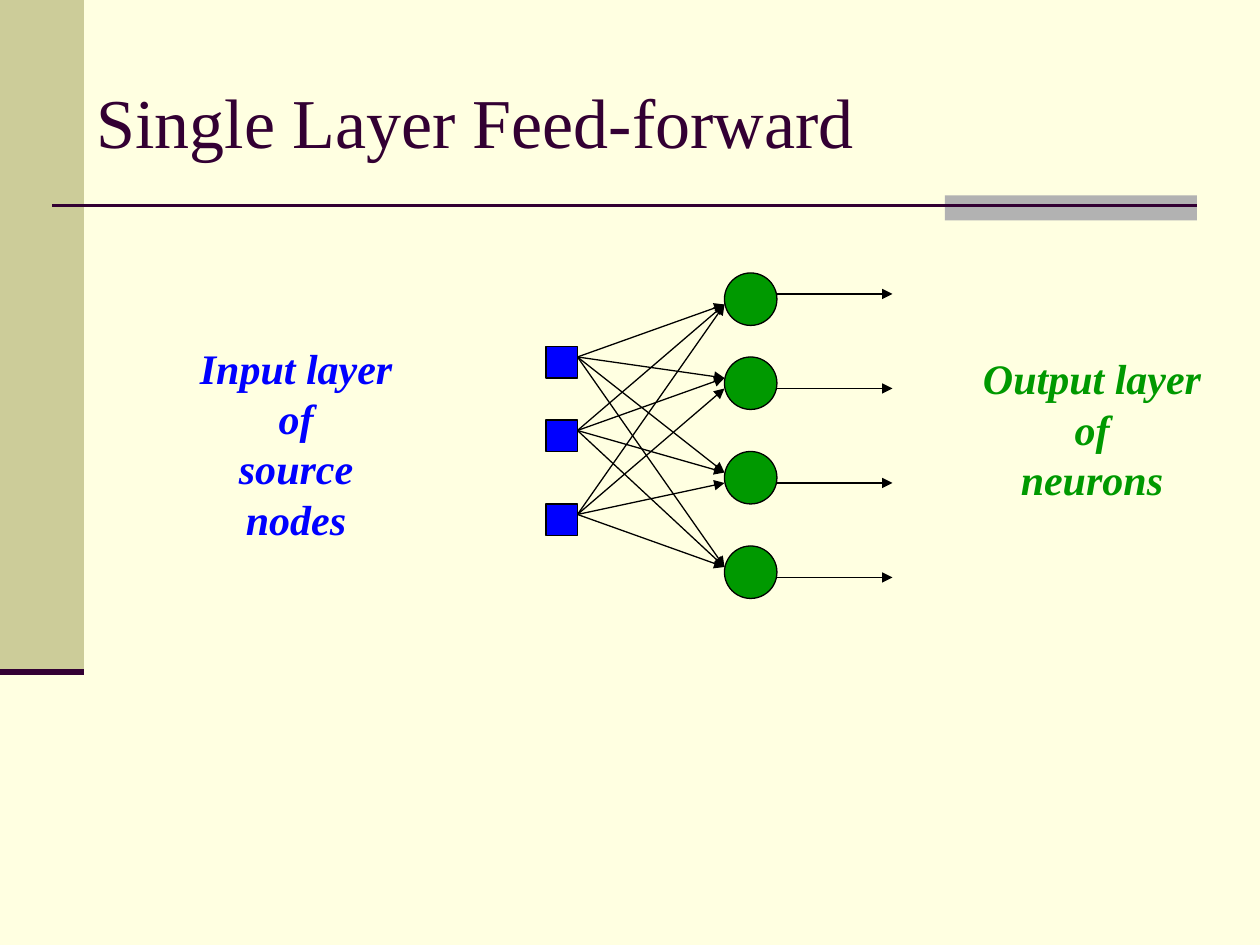
from itertools import product

from lxml.etree import SubElement
from pptx import Presentation
from pptx.dml.color import RGBColor
from pptx.enum.shapes import MSO_CONNECTOR, MSO_SHAPE
from pptx.enum.text import MSO_ANCHOR, PP_ALIGN
from pptx.oxml.ns import qn
from pptx.util import Inches, Pt

COLUMNS, ROWS = 120, 90
PLUM, SAND, SILVER, CREAM = "330033", "CCCC99", "B2B2B2", "FFFFE1"
BLUE, GREEN, BLACK = "0000FF", "009900", "000000"


def color(value):
    return RGBColor.from_string(value)


def apply_format(target, values):
    for name, value in values.items():
        setattr(target, name, value)


class GridSlide:
    font_name = "Times New Roman"
    thin = 0.75

    def __init__(self, deck):
        self.column = deck.slide_width / COLUMNS
        self.row = deck.slide_height / ROWS
        self.slide = deck.slides.add_slide(deck.slide_layouts[6])
        self.slide.background.fill.solid()
        self.slide.background.fill.fore_color.rgb = color(CREAM)

    def place(self, *lengths):
        units = (self.column, self.row) * 2
        return [round(length * unit) for length, unit in zip(lengths, units)]

    def block(self, kind, box, fill, outline=None):
        block = self.slide.shapes.add_shape(kind, *self.place(*box))
        block.shadow.inherit = False
        block.fill.solid()
        block.fill.fore_color.rgb = color(fill)
        if outline:
            block.line.color.rgb = color(outline)
            block.line.width = Pt(self.thin)
        else:
            block.line.fill.background()

    def line(self, start, end, stroke=BLACK, width=thin, arrow=False):
        line = self.slide.shapes.add_connector(
            MSO_CONNECTOR.STRAIGHT, *self.place(*start, *end))
        line.line.color.rgb = color(stroke)
        line.line.width = Pt(width)
        if arrow:
            SubElement(line.line._get_or_add_ln(), qn("a:tailEnd"), type="triangle")
        SubElement(line._element.spPr, qn("a:effectLst"))

    def text(self, box, lines, ink, frame_format, paragraph_format, font_format):
        frame = self.slide.shapes.add_textbox(*self.place(*box)).text_frame
        apply_format(frame, {"text": "\n".join(lines), **frame_format})
        for paragraph in frame.paragraphs:
            apply_format(paragraph, paragraph_format)
            for run in paragraph.runs:
                apply_format(run.font, {"name": self.font_name, **font_format})
                run.font.color.rgb = color(ink)


def draw_frame(page):
    page.block(MSO_SHAPE.RECTANGLE, (0, 0, 8, 64), SAND)
    page.block(MSO_SHAPE.RECTANGLE, (90, 18.6, 24, 2.4), SILVER)
    page.line((5, 19.6), (114, 19.6), PLUM, 1.5)
    page.line((0, 64), (8, 64), PLUM, 3.5)
    page.text((8, 5, 102, 13), ["Single Layer Feed-forward"], PLUM,
              {"word_wrap": True, "vertical_anchor": MSO_ANCHOR.MIDDLE},
              {"alignment": PP_ALIGN.LEFT}, {"size": Pt(40)})


def draw_labels(page):
    labels = [
        ((16.3, 32, 23.8, 15.6), ["Input layer", "of", "source nodes"], BLUE),
        ((92.4, 33, 23.2, 15.6), ["Output layer", "of", "neurons"], GREEN),
    ]
    for box, lines, ink in labels:
        page.text(box, lines, ink, {"word_wrap": False},
                  {"alignment": PP_ALIGN.CENTER},
                  {"size": Pt(24), "bold": True, "italic": True})


def draw_network(page):
    source_left, source_size, source_tops = 52, 3, (33, 40, 48)
    neuron_left, neuron_size, neuron_tops = 69, 5, (26, 34, 43, 52)
    upper_entries, lower_entries = (29, 36, 45, 54), (29, 37, 46, 54)
    output_rows, output_end = range(28, 56, 9), 85
    source_right = source_left + source_size
    neuron_right = neuron_left + neuron_size

    for top in neuron_tops:
        page.block(MSO_SHAPE.OVAL, (neuron_left, top, neuron_size, neuron_size),
                   GREEN, BLACK)
    for top in source_tops:
        page.block(MSO_SHAPE.RECTANGLE, (source_left, top, source_size, source_size),
                   BLUE, BLACK)
    for top, neuron in product(source_tops, range(len(neuron_tops))):
        entries = lower_entries if top == source_tops[-1] else upper_entries
        page.line((source_right, top + 1), (neuron_left, entries[neuron]), arrow=True)
    for row in output_rows:
        page.line((neuron_right, row), (output_end, row), arrow=True)


def main():
    deck = Presentation()
    apply_format(deck, {"slide_width": Inches(10), "slide_height": Inches(7.5)})
    page = GridSlide(deck)
    draw_frame(page)
    draw_labels(page)
    draw_network(page)
    deck.save("out.pptx")


if __name__ == "__main__":
    main()
